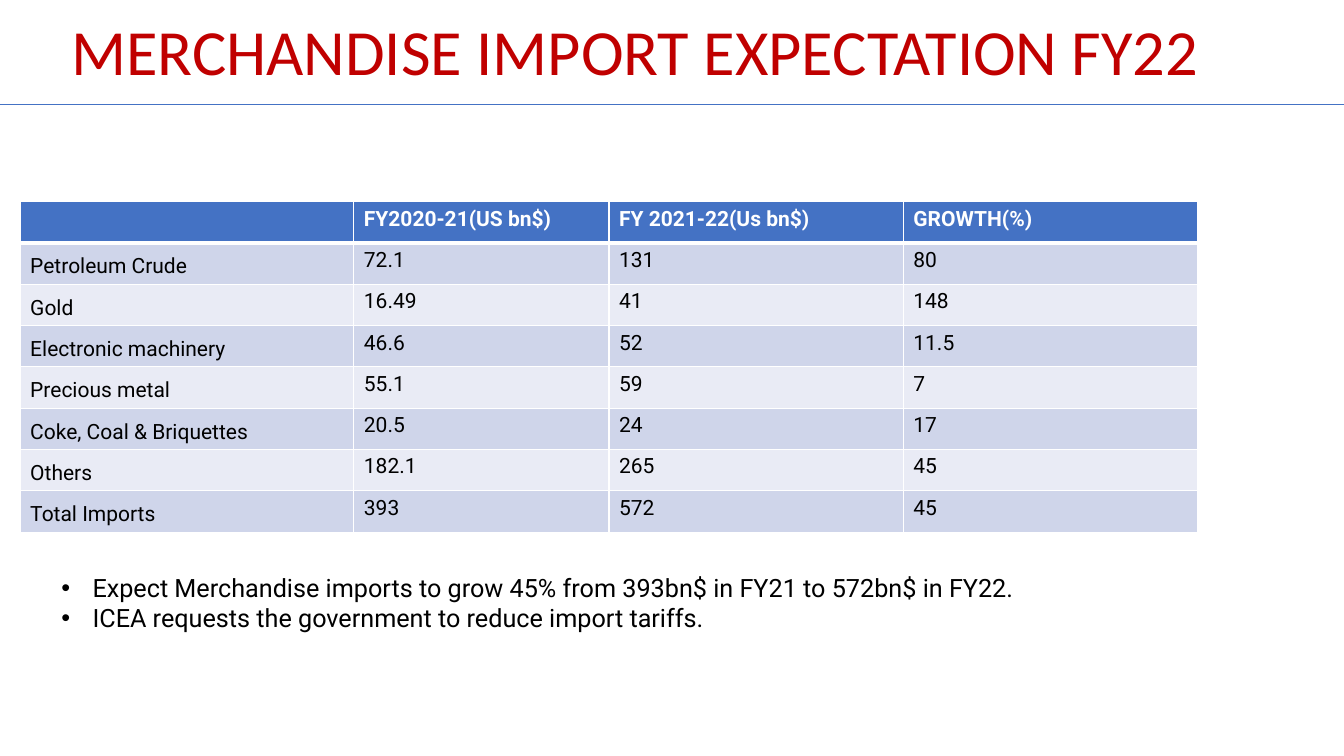
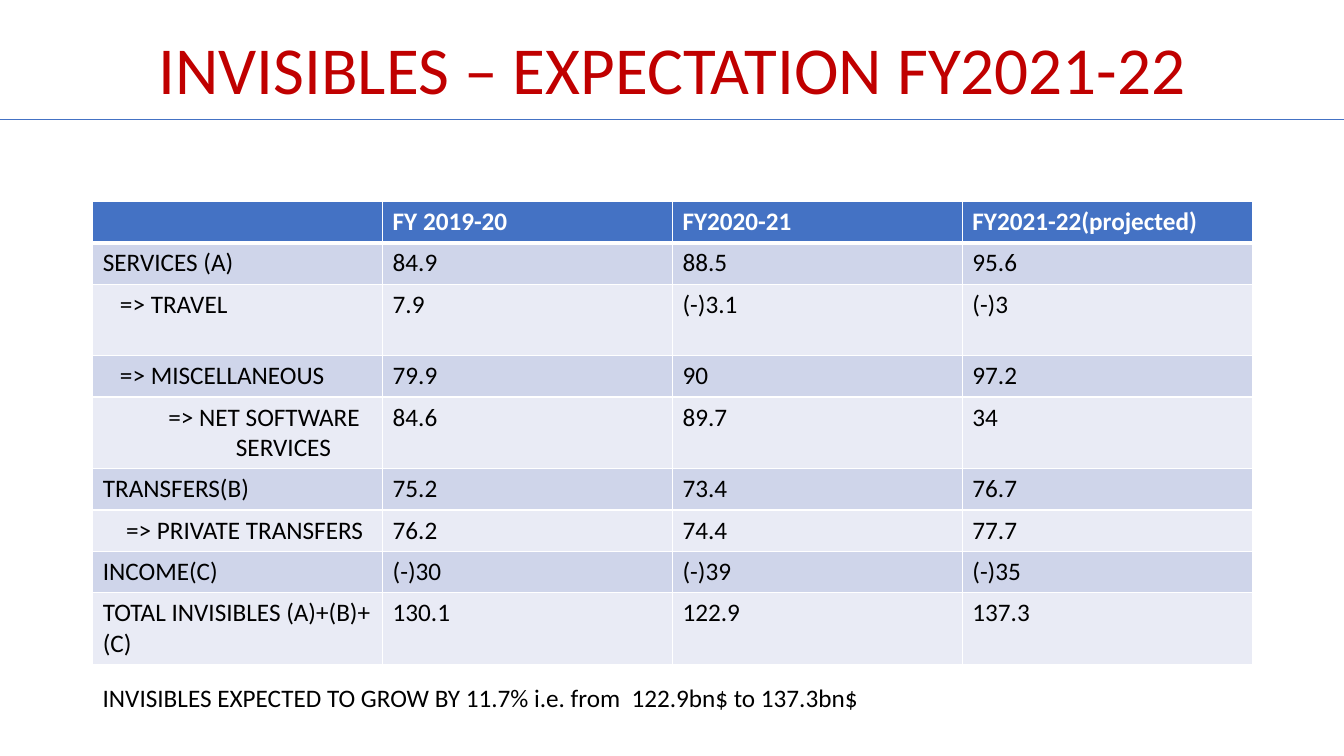
from lxml import etree
from pptx import Presentation
from pptx.dml.color import RGBColor
from pptx.enum.shapes import MSO_CONNECTOR
from pptx.enum.text import MSO_ANCHOR as ANCHOR, PP_ALIGN as ALIGN
from pptx.oxml.ns import qn
from pptx.util import Inches, Pt

RED = RGBColor(0xC0, 0x00, 0x00)
BLUE = RGBColor(0x44, 0x72, 0xC4)
BAND_DARK = RGBColor(0xCF, 0xD5, 0xEA)
BAND_LIGHT = RGBColor(0xE9, 0xEB, 0xF5)
WHITE = RGBColor(0xFF, 0xFF, 0xFF)
BLACK = RGBColor(0x00, 0x00, 0x00)

SLIDE_W, SLIDE_H = 13.33, 7.5
TABLE_TOP = 2
ROW_H, TALL_ROW_H = 0.41, 0.71

# Content: "indents" maps a table row to its (left margin, first-line indent)
SLIDES = [
    {
        "title": "MERCHANDISE IMPORT EXPECTATION FY22",
        "title_box": (0.61, -0.18, 11.5, 1.45),
        "title_size": 46, "title_align": ALIGN.LEFT,
        "rule_y": 1.04,
        "font": "Roboto", "table_size": 15,
        "table_left": 0.2, "col_widths": [3.31, 2.53, 2.92, 2.92],
        "label_anchor": ANCHOR.BOTTOM, "tall_rows": (), "indents": {},
        "rows": [
            ("", "FY2020-21(US bn$)", "FY 2021-22(Us bn$)", "GROWTH(%)"),
            ("Petroleum Crude", "72.1", "131", "80"),
            ("Gold", "16.49", "41", "148"),
            ("Electronic machinery", "46.6", "52", "11.5"),
            ("Precious metal", "55.1", "59", "7"),
            ("Coke, Coal & Briquettes", "20.5", "24", "17"),
            ("Others", "182.1", "265", "45"),
            ("Total Imports", "393", "572", "45"),
        ],
        "notes_box": (0.51, 5.63, 12.04, 0.71), "bullets": True,
        "remarks": [
            "Expect Merchandise imports to grow 45% from 393bn$ in FY21 to 572bn$ in FY22.",
            "ICEA requests the government to reduce import tariffs.",
        ],
    },
    {
        "title": "INVISIBLES – EXPECTATION FY2021-22",
        "title_box": (0.92, 0, 11.5, 1.45),
        "title_size": 48, "title_align": ALIGN.CENTER,
        "rule_y": 1.18,
        "font": "Calibri", "table_size": 18,
        "table_left": 0.92, "col_widths": [2.875] * 4,
        "label_anchor": ANCHOR.TOP, "tall_rows": (2, 4, 8),
        "indents": {2: (0.17, 0), 3: (0.17, 0), 4: (1.32, -0.67), 6: (0.23, 0)},
        "rows": [
            ("", "FY 2019-20", "FY2020-21", "FY2021-22(projected)"),
            ("SERVICES (A)", "84.9", "88.5", "95.6"),
            ("=> TRAVEL", "7.9", "(-)3.1", "(-)3"),
            ("=> MISCELLANEOUS", "79.9", "90", "97.2"),
            ("=> NET SOFTWARE SERVICES", "84.6", "89.7", "34"),
            ("TRANSFERS(B)", "75.2", "73.4", "76.7"),
            ("=> PRIVATE TRANSFERS", "76.2", "74.4", "77.7"),
            ("INCOME(C)", "(-)30", "(-)39", "(-)35"),
            ("TOTAL INVISIBLES (A)+(B)+(C)", "130.1", "122.9", "137.3"),
        ],
        "notes_box": (0.92, 6.72, 12.07, 0.4), "bullets": False,
        "remarks": ["INVISIBLES EXPECTED TO GROW BY 11.7% i.e. from  122.9bn$ to 137.3bn$"],
    },
]


def write(p, text, color, **font):
    r = p.add_run()
    r.text = text
    r.font.color.rgb = color
    for name, value in font.items():
        setattr(r.font, name, value)


def indent(p, left, first):
    pPr = p._p.get_or_add_pPr()
    pPr.set("marL", str(Inches(left)))
    pPr.set("indent", str(Inches(first)))
    return pPr


def add_box(slide, box):
    tf = slide.shapes.add_textbox(*map(Inches, box)).text_frame
    tf.word_wrap = True
    return tf


def add_title(slide, data):
    tf = add_box(slide, data["title_box"])
    tf.vertical_anchor = ANCHOR.MIDDLE
    p = tf.paragraphs[0]
    p.alignment, p.line_spacing = data["title_align"], 0.9
    write(p, data["title"], RED, name="Calibri", size=Pt(data["title_size"]))


def add_rule(slide, y):
    line = slide.shapes.add_connector(
        MSO_CONNECTOR.STRAIGHT, 0, Inches(y), Inches(SLIDE_W), Inches(y))
    line.line.color.rgb, line.line.width = BLUE, Pt(0.5)
    etree.SubElement(line._element.spPr, qn("a:effectLst"))


def set_borders(cell, widths):
    tcPr = cell._tc.get_or_add_tcPr()
    for i, (side, width) in enumerate(widths.items()):
        ln = etree.Element(qn(f"a:ln{side}"), w=str(Pt(width)))
        fill = etree.SubElement(ln, qn("a:solidFill"))
        etree.SubElement(fill, qn("a:srgbClr"), val=str(WHITE))
        tcPr.insert(i, ln)


def add_data_table(slide, data):
    rows, widths = data["rows"], data["col_widths"]
    heights = [TALL_ROW_H if i in data["tall_rows"] else ROW_H for i in range(len(rows))]
    box = (data["table_left"], TABLE_TOP, sum(widths), sum(heights))
    table = slide.shapes.add_table(len(rows), len(widths), *map(Inches, box)).table
    for col, width in zip(table.columns, widths):
        col.width = Inches(width)
    for i, (values, height) in enumerate(zip(rows, heights)):
        table.rows[i].height = Inches(height)
        header = i == 0
        fill = BLUE if header else BAND_DARK if i % 2 else BAND_LIGHT
        for j, text in enumerate(values):
            cell = table.cell(i, j)
            cell.fill.solid()
            cell.fill.fore_color.rgb = fill
            set_borders(cell, {"L": 1, "R": 1, "T": 3 if i == 1 else 1, "B": 3 if header else 1})
            p = cell.text_frame.paragraphs[0]
            if j == 0 and not header:
                cell.vertical_anchor = data["label_anchor"]
                indent(p, *data["indents"].get(i, (0, 0)))
            if text:
                write(p, text, WHITE if header else BLACK, name=data["font"],
                      size=Pt(data["table_size"]), bold=header)


def add_remarks(slide, data):
    tf = add_box(slide, data["notes_box"])
    for i, text in enumerate(data["remarks"]):
        p = tf.add_paragraph() if i else tf.paragraphs[0]
        if data["bullets"]:
            pPr = indent(p, 0.31, -0.31)
            etree.SubElement(pPr, qn("a:buFont"), typeface="Arial")
            etree.SubElement(pPr, qn("a:buChar"), char="•")
        write(p, text, BLACK, name=data["font"], size=Pt(18))


def main():
    prs = Presentation()
    prs.slide_width, prs.slide_height = Inches(SLIDE_W), Inches(SLIDE_H)
    for data in SLIDES:
        slide = prs.slides.add_slide(prs.slide_layouts[6])
        add_title(slide, data)
        add_data_table(slide, data)
        add_remarks(slide, data)
        add_rule(slide, data["rule_y"])
    prs.save("out.pptx")


if __name__ == "__main__":
    main()
